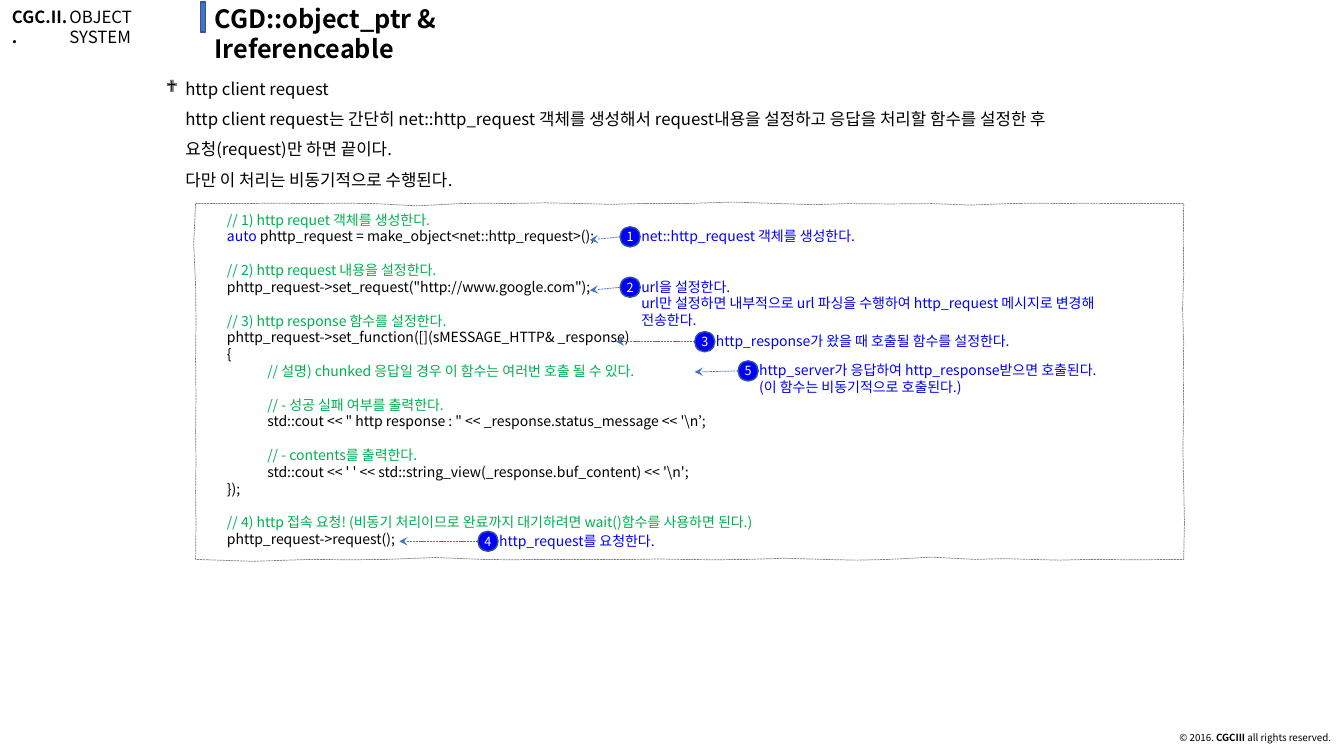
import pptx
import pptx.dml.color
import pptx.enum.dml
import pptx.enum.shapes
import pptx.enum.text
import pptx.oxml.ns
import pptx.util
from lxml import etree

Inches, Pt = pptx.util.Inches, pptx.util.Pt
qn = pptx.oxml.ns.qn
SHAPES = pptx.enum.shapes.MSO_SHAPE
ALIGN = pptx.enum.text.PP_ALIGN
ANCHOR = pptx.enum.text.MSO_ANCHOR

COLORS = {"black": "000000", "white": "FFFFFF", "blue": "0000FF", "green": "00B050",
          "accent": "4472C4", "edge": "325491", "gray": "808080"}
DASH = pptx.enum.dml.MSO_LINE.SQUARE_DOT

INTRO = ("http client request\v"
         "http client request는 간단히 net::http_request 객체를 생성해서 request내용을 설정하고 "
         "응답을 처리할 함수를 설정한 후\v"
         "요청(request)만 하면 끝이다.\v다만 이 처리는 비동기적으로 수행된다.")

CODE_BLOCKS = [
    ["// 1) http requet 객체를 생성한다.",
     "auto phttp_request = make_object<net::http_request>();"],
    ["// 2) http request 내용을 설정한다.",
     'phttp_request->set_request("http://www.google.com");'],
    ["// 3) http response 함수를 설정한다.",
     "phttp_request->set_function([](sMESSAGE_HTTP& _response)",
     "{",
     "\t// 설명) chunked 응답일 경우 이 함수는 여러번 호출 될 수 있다."],
    ["\t// - 성공 실패 여부를 출력한다.",
     "\tstd::cout << \" http response : \" << _response.status_message << '\\n’;"],
    ["\t// - contents를 출력한다.",
     "\tstd::cout << ' ' << std::string_view(_response.buf_content) << '\\n';",
     "});"],
    ["// 4) http 접속 요청! (비동기 처리이므로 완료까지 대기하려면 wait()함수를 사용하면 된다.)",
     "phttp_request->request();"],
]

# number, badge left, badge top, arrow tip x, arrow tip y, text width, paragraphs
CALLOUTS = [
    (1, 6.15, 2.25, 5.85, 2.38, 4.51, ["net::http_request 객체를 생성한다."]),
    (2, 6.15, 2.75, 5.85, 2.88, 5.48,
     ["url을 설정한다.\vurl만 설정하면 내부적으로 url 파싱을 수행하여 http_request 메시지로 변경해",
      "전송한다."]),
    (3, 6.89, 3.29, 6.11, 3.39, 5.48, ["http_response가 왔을 때 호출될 함수를 설정한다."]),
    (4, 4.74, 5.27, 3.96, 5.37, 5.48, ["http_request를 요청한다."]),
    (5, 7.32, 3.58, 6.89, 3.69, 4.17,
     ["http_server가 응답하여 http_response받으면 호출된다.\v(이 함수는 비동기적으로 호출된다.)"]),
]
BADGE = 0.2

# Hand-drawn frame: per stroke, its end along the side and two bends in hundredths of an inch
FRAME_LEFT, FRAME_TOP, FRAME_RIGHT, FRAME_BOTTOM = 1.94, 2.02, 11.74, 5.55
TOP_STROKES = [(2.4, -2, 2), (3.05, -2, 1), (3.71, 0, -1), (4.56, 2, 4), (5.02, -3, 2),
               (5.78, -2, 0), (6.33, 1, 1), (6.79, -1, 1), (7.74, -1, -3), (8.4, 4, -1),
               (9.25, 1, 0), (10, 1, 3), (10.56, -2, 1), (11.02, -1, 0), (11.74, 0, 0)]
RIGHT_STROKES = [(2.73, -3, 2), (3.4, -3, 0), (4.07, -1, 0), (4.81, -1, -1), (5.55, 1, 1)]
BOTTOM_STROKES = [(10.79, 2, -1), (10.23, 0, 2), (9.67, -3, 1), (8.82, -2, -4), (8.17, 3, -1),
                  (7.41, 0, -3), (6.76, 2, -1), (6.3, 0, -1), (5.35, 1, -1), (4.79, 0, 1),
                  (3.84, -2, -3), (3.08, 2, -1), (1.94, 0, 5)]
LEFT_STROKES = [(4.88, 2, -1), (4.28, 1, 0), (3.57, 0, 1), (2.83, -1, 2), (2.02, -2, -3)]


def wobble(start, level, strokes):
    """Yield the middle and end of each stroke as (position along, distance across)."""
    for end, bend1, bend2 in strokes:
        yield (start + end) / 2, level + 3 * (bend1 + bend2) / 800
        yield end, level
        start = end


def frame_outline():
    points = list(wobble(FRAME_LEFT, FRAME_TOP, TOP_STROKES))
    points += [(x, y) for y, x in wobble(FRAME_TOP, FRAME_RIGHT, RIGHT_STROKES)]
    points += wobble(FRAME_RIGHT, FRAME_BOTTOM, BOTTOM_STROKES)
    points += [(x, y) for y, x in wobble(FRAME_BOTTOM, FRAME_LEFT, LEFT_STROKES)]
    return points


class SlideBuilder:
    font_name = "Noto Sans CJK KR"

    def __init__(self, slide):
        self.slide = slide

    def rgb(self, color):
        return pptx.dml.color.RGBColor.from_string(COLORS[color])

    def style(self, paragraph, size, color="black", bold=False):
        font = paragraph.font
        font.name, font.size, font.bold = self.font_name, Pt(size), bold
        font.color.rgb = self.rgb(color)

    def text(self, left, top, width, height, paragraphs, size, color="black", bold=False,
             indent=0.0):
        """Add a text box and return its paragraphs."""
        frame = self.slide.shapes.add_textbox(
            Inches(left), Inches(top), Inches(width), Inches(height)).text_frame
        frame.word_wrap = True
        frame.margin_left = Inches(0.1 + indent)
        frame.text = "\n".join(paragraphs)
        for paragraph in frame.paragraphs:
            self.style(paragraph, size, color, bold)
        return frame.paragraphs

    def paint(self, shape, fill, line, weight):
        shape.shadow.inherit = False
        shape.fill.solid()
        shape.fill.fore_color.rgb = self.rgb(fill)
        shape.line.color.rgb = self.rgb(line)
        shape.line.width = Pt(weight)

    def shape(self, kind, left, top, width, height, fill):
        shape = self.slide.shapes.add_shape(
            kind, Inches(left), Inches(top), Inches(width), Inches(height))
        self.paint(shape, fill, "edge", 1)
        return shape

    def arrow(self, x1, y1, x2, y2):
        arrow = self.slide.shapes.add_connector(
            pptx.enum.shapes.MSO_CONNECTOR.STRAIGHT,
            Inches(x1), Inches(y1), Inches(x2), Inches(y2))
        arrow.line.color.rgb = self.rgb("accent")
        arrow.line.width = Pt(0.5)
        arrow.line.dash_style = DASH
        etree.SubElement(arrow.line._get_or_add_ln(), qn("a:tailEnd"), type="stealth")
        etree.SubElement(arrow._element.spPr, qn("a:effectLst"))

    def bullet_text(self, left, top, width, height, text, size, char, indent):
        frame = self.slide.shapes.add_textbox(
            Inches(left), Inches(top), Inches(width), Inches(height)).text_frame
        frame.word_wrap = True
        frame.text = text
        paragraph = frame.paragraphs[0]
        paragraph.line_spacing = 1.5
        properties = paragraph._p.get_or_add_pPr()
        properties.set("marL", str(Inches(indent)))
        properties.set("indent", str(-Inches(indent)))
        etree.SubElement(properties, qn("a:buFont"), typeface="Wingdings")
        etree.SubElement(properties, qn("a:buChar"), char=char)
        self.style(paragraph, size)

    def code(self, blocks):
        """Add the sketched frame with the source code in it."""
        points = [(Inches(x), Inches(y)) for x, y in frame_outline()]
        pen = self.slide.shapes.build_freeform(Inches(FRAME_LEFT), Inches(FRAME_TOP))
        pen.add_line_segments(points, close=True)
        shape = pen.convert_to_shape()
        self.paint(shape, "white", "gray", 0.5)
        shape.line.dash_style = DASH
        frame = shape.text_frame
        frame.word_wrap = True
        frame.vertical_anchor = ANCHOR.TOP
        frame.margin_left = frame.margin_right = Inches(0.33)
        frame.margin_top = frame.margin_bottom = Inches(0.09)
        frame.text = "\n".join(line for block in blocks for line in block)
        paragraphs = iter(frame.paragraphs)
        for number, block in enumerate(blocks):
            for row, line in enumerate(block):
                self.code_line(next(paragraphs), line, gap=number > 0 and row == 0)

    def code_line(self, paragraph, line, gap):
        paragraph.alignment = ALIGN.LEFT
        if gap:
            paragraph.space_before = Pt(12)
        if line.startswith("\t"):
            tabs = etree.SubElement(paragraph._p.get_or_add_pPr(), qn("a:tabLst"))
            etree.SubElement(tabs, qn("a:tab"), pos=str(Inches(0.4)), algn="l")
        self.style(paragraph, 10, "green" if line.strip().startswith("//") else "black")
        if line.startswith("auto "):
            keyword = paragraph.runs[0]
            keyword.text = "auto"
            keyword.font.color.rgb = self.rgb("blue")
            paragraph.add_run().text = line[len("auto"):]

    def callout(self, number, left, top, tip_x, tip_y, width, paragraphs):
        lines = sum(text.count("\v") + 1 for text in paragraphs)
        self.text(left - 0.01, top - 0.04, width, 0.1 + 0.17 * lines, paragraphs, 10, "blue",
                  indent=0.12)
        badge = self.shape(SHAPES.OVAL, left, top, BADGE, BADGE, "blue")
        frame = badge.text_frame
        frame.word_wrap = False
        frame.margin_left = frame.margin_right = frame.margin_top = frame.margin_bottom = 0
        frame.vertical_anchor = ANCHOR.MIDDLE
        frame.text = str(number)
        frame.paragraphs[0].alignment = ALIGN.CENTER
        self.style(frame.paragraphs[0], 9, "white")
        self.arrow(left, top + BADGE / 2, tip_x, tip_y)


def main():
    deck = pptx.Presentation()
    deck.slide_width, deck.slide_height = Inches(13.33), Inches(7.5)
    page = SlideBuilder(deck.slides.add_slide(deck.slide_layouts[6]))

    page.text(2.03, -0.02, 4, 0.4, ["CGD::object_ptr & Ireferenceable"], 18, bold=True)
    footer = page.text(10.65, 7.22, 2.65, 0.26, ["© 2016. "], 7)[0]
    footer.alignment = ALIGN.RIGHT
    footer.line_spacing = 0.9
    owner = footer.add_run()
    owner.text = "CGCIII"
    owner.font.bold = True
    footer.add_run().text = " all rights reserved."
    page.text(0.59, 0.02, 1.4, 0.3, ["OBJECT SYSTEM"], 12)
    page.text(0.02, 0.02, 0.77, 0.3, ["CGC.II.."], 12, bold=True)
    page.shape(SHAPES.RECTANGLE, 1.99, 0.02, 0.05, 0.3, "accent")
    page.bullet_text(1.55, 0.63, 10.7, 1.27, INTRO, 12, "❖", 0.19)

    page.code(CODE_BLOCKS)
    for callout in CALLOUTS:
        page.callout(*callout)
    deck.save("out.pptx")


if __name__ == "__main__":
    main()
